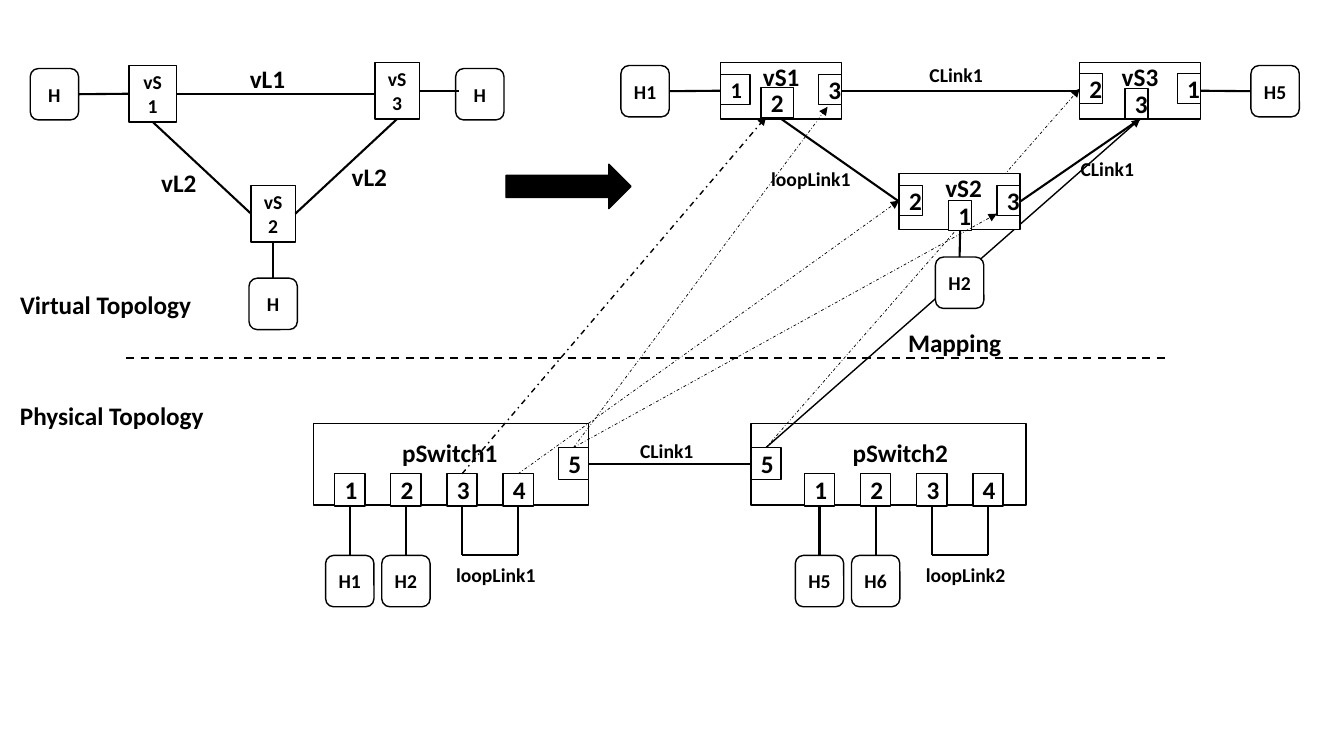
from lxml.etree import SubElement
from pptx import Presentation
from pptx.dml.color import RGBColor
from pptx.enum.dml import MSO_LINE
from pptx.enum.shapes import MSO_CONNECTOR, MSO_SHAPE
from pptx.enum.text import MSO_ANCHOR, MSO_AUTO_SIZE, PP_ALIGN
from pptx.oxml.ns import qn
from pptx.util import Inches, Pt

# Every length below is in columns and rows of a square grid.
CELL = Inches(0.1)
SLIDE_COLUMNS, SLIDE_ROWS = 133.33, 75
BLACK, WHITE = "000000", "FFFFFF"
TOP, LEFT, BOTTOM, RIGHT = range(4)

HOST_SIZE = (4.8, 5.1)
PHYSICAL_SIZE = (27.3, 8.1)
VIRTUAL_SIZE = (12, 5.6)
PORT_PITCH = 5.57

SOLID = {"width": Pt(1.5)}
DASHED = {"width": Pt(1.5), "dash_style": MSO_LINE.DASH}
BOLD_MAPPING = {"width": Pt(1), "dash_style": MSO_LINE.DASH_DOT}
THIN_MAPPING = {"width": Pt(0.5), "dash_style": MSO_LINE.DASH_DOT}
SOLID_MAPPING = {"width": Pt(1)}


def colour(hex_value):
    return RGBColor.from_string(hex_value)


def cells(*counts):
    return [round(count * CELL) for count in counts]


def apply(target, values):
    for name, value in values.items():
        setattr(target, name, value)


def write(shape, text, size):
    paragraph = shape.text_frame.paragraphs[0]
    run = paragraph.add_run()
    run.text = text
    apply(run.font, {"name": "Calibri", "size": Pt(size), "bold": True})
    run.font.color.rgb = colour(BLACK)
    return paragraph


def box(slide, left, top, width, height, text="", size=14,
        kind=MSO_SHAPE.RECTANGLE, fill=WHITE):
    shape = slide.shapes.add_shape(kind, *cells(left, top, width, height))
    shape.shadow.inherit = False
    shape.fill.solid()
    shape.fill.fore_color.rgb = colour(fill)
    shape.line.color.rgb = colour(BLACK)
    shape.line.width = Pt(1)
    if text:
        shape.text_frame.vertical_anchor = MSO_ANCHOR.MIDDLE
        write(shape, text, size).alignment = PP_ALIGN.CENTER
    return shape


def host(slide, left, top, text):
    return box(slide, left, top, *HOST_SIZE, text, kind=MSO_SHAPE.ROUNDED_RECTANGLE)


def label(slide, left, top, width, text, size=18, indent=1):
    shape = slide.shapes.add_textbox(*cells(left, top, width, 4 if size == 18 else 3.4))
    apply(shape.text_frame, {
        "word_wrap": False,
        "auto_size": MSO_AUTO_SIZE.SHAPE_TO_FIT_TEXT,
        "margin_left": cells(indent)[0],
    })
    write(shape, text, size)


def link_label(slide, left, top, width, text):
    label(slide, left, top, width, text, size=14, indent=1.9)


def link(slide, begin, end, look=SOLID, arrow=False):
    """Draw a line; each end is a (column, row) point or a (shape, side) pair."""
    connector = slide.shapes.add_connector(MSO_CONNECTOR.STRAIGHT, 0, 0, 0, 0)
    if isinstance(begin[0], (int, float)):
        connector.begin_x, connector.begin_y = cells(*begin)
    else:
        connector.begin_connect(*begin)
    if isinstance(end[0], (int, float)):
        connector.end_x, connector.end_y = cells(*end)
    else:
        connector.end_connect(*end)
    connector.line.color.rgb = colour(BLACK)
    apply(connector.line, look)
    properties = connector.element.spPr
    if arrow:
        SubElement(properties.find(qn("a:ln")), qn("a:tailEnd"), type="triangle")
    SubElement(properties, qn("a:effectLst"))
    return connector


def physical_switch(slide, left, name, name_left, first_port, uplink, hosts, loop):
    """Draw a switch with its hosts and loop; return its ports by number."""
    top, loop_row = 42, 55.1
    box(slide, left, top, *PHYSICAL_SIZE)
    ports = {"5": box(slide, uplink, top + 2.4, 3, 3.2, "5", 18)}
    for index, number in enumerate("1234"):
        ports[number] = box(slide, first_port + index * PORT_PITCH, top + 5,
                            3, 3.2, number, 18)
    for index, (number, text) in enumerate(zip("12", hosts)):
        end = host(slide, first_port - 0.9 + index * PORT_PITCH, loop_row, text)
        link(slide, (ports[number], BOTTOM), (end, TOP))
    corners = [(first_port + 1.5 + index * PORT_PITCH, loop_row) for index in (2, 3)]
    for number, corner in zip("34", corners):
        link(slide, (ports[number], BOTTOM), corner)
    link(slide, *corners)
    label(slide, name_left, top + 0.9, 11.6, name)
    link_label(slide, corners[0][0] - 2.5, loop_row + 0.3, 10.9, loop)
    return ports


def virtual_switch(slide, left, top, name, ports, name_shift=3.2):
    """Draw a switch; return its body and its ports by number."""
    body = box(slide, left, top, *VIRTUAL_SIZE)
    drawn = {}
    for number, shift, drop, width, size in ports:
        drawn[number] = box(slide, left + shift, top + drop, width, 3, number, size)
    label(slide, left + name_shift, top - 0.6, 5.7, name)
    return body, drawn


def virtual_topology(slide):
    switch1 = box(slide, 12.8, 6.5, 4.7, 5.6, "vS1")
    switch3 = box(slide, 37.2, 6.2, 4.4, 5.6, "vS3")
    switch2 = box(slide, 24.9, 18.4, 4.4, 5.6, "vS2")
    host1 = host(slide, 3, 6.8, "H")
    host2 = host(slide, 24.7, 27.6, "H")
    host(slide, 45.2, 6.8, "H")
    link(slide, (switch1, RIGHT), (37.2, 9.3))
    link(slide, (switch1, BOTTOM), (switch2, LEFT))
    link(slide, (switch2, RIGHT), (switch3, BOTTOM))
    link(slide, (host1, RIGHT), (switch1, LEFT))
    link(slide, (switch3, RIGHT), (45.5, 9))
    link(slide, (host2, TOP), (switch2, BOTTOM))
    for left, top, text in [(23.8, 5.8, "vL1"), (33.9, 15.5, "vL2"), (15, 16.1, "vL2")]:
        label(slide, left, top, 5.5, text)


def mapped_topology(slide, ports1, ports2):
    switch1, _ = virtual_switch(slide, 71.5, 6.2, "vS1", [
        ("1", 0, 1.2, 2.9, 16), ("2", 4, 2.5, 3.2, 18), ("3", 9.7, 1.2, 2.3, 18)])
    switch3, switch3_ports = virtual_switch(slide, 107.1, 6.2, "vS3", [
        ("2", 0, 1.1, 2.3, 18), ("3", 4.5, 2.6, 2.3, 18), ("1", 9.7, 1.1, 2.3, 18)])
    host1 = host(slide, 61.6, 6.5, "H1")
    host5 = host(slide, 124.1, 6.5, "H5")
    link(slide, (host1, RIGHT), (switch1, LEFT))
    link(slide, (switch1, RIGHT), (switch3, LEFT))
    link(slide, (switch3, RIGHT), (host5, LEFT))

    link(slide, (ports1["3"], TOP), (76, 11.6), BOLD_MAPPING, arrow=True)
    link(slide, (ports1["5"], TOP), (82.1, 10.6), THIN_MAPPING, arrow=True)
    link(slide, (ports2["5"], TOP), (switch3_ports["2"], LEFT), THIN_MAPPING, arrow=True)
    link(slide, (ports2["5"], TOP), (switch3, BOTTOM), SOLID_MAPPING, arrow=True)

    switch2, switch2_ports = virtual_switch(slide, 89.2, 17.2, "vS2", [
        ("2", 0, 1.2, 2.3, 18), ("3", 9.7, 1.2, 2.3, 18), ("1", 4.9, 2.7, 2.3, 18)], 3.6)
    host2 = host(slide, 92.8, 25.5, "H2")
    link(slide, (host2, TOP), (switch2_ports["1"], BOTTOM))
    link(slide, (switch1, BOTTOM), (switch2, LEFT))
    link(slide, (switch2, RIGHT), (switch3, BOTTOM))
    link(slide, (ports1["4"], TOP), (switch2_ports["2"], LEFT), THIN_MAPPING, arrow=True)
    link(slide, (ports1["5"], TOP), (98.9, 21.2), THIN_MAPPING, arrow=True)
    link_label(slide, 74.6, 16.1, 10.9, "loopLink1")
    for left, top in [(90.3, 5.8), (105.3, 15.1)]:
        link_label(slide, left, top, 8.2, "CLink1")


def main():
    presentation = Presentation()
    presentation.slide_width, presentation.slide_height = cells(SLIDE_COLUMNS, SLIDE_ROWS)
    slide = presentation.slides.add_slide(presentation.slide_layouts[6])

    ports1 = physical_switch(slide, 31.1, "pSwitch1", 38.9, 33.2, 55.4,
                             ("H1", "H2"), "loopLink1")
    ports2 = physical_switch(slide, 74.5, "pSwitch2", 83.6, 79.8, 74.5,
                             ("H5", "H6"), "loopLink2")
    link(slide, (ports1["5"], RIGHT), (ports2["5"], LEFT))
    link_label(slide, 61.6, 43.1, 8.2, "CLink1")

    link(slide, (12.5, 35.5), (116.2, 35.5), DASHED)
    virtual_topology(slide)
    box(slide, 50.2, 16.3, 12.4, 4.4, kind=MSO_SHAPE.RIGHT_ARROW, fill=BLACK)
    mapped_topology(slide, ports1, ports2)
    label(slide, 1, 39.2, 20.4, "Physical Topology")
    label(slide, 1, 28.2, 19.1, "Virtual Topology")
    label(slide, 89.1, 32, 11.3, "Mapping")
    presentation.save("out.pptx")


if __name__ == "__main__":
    main()
